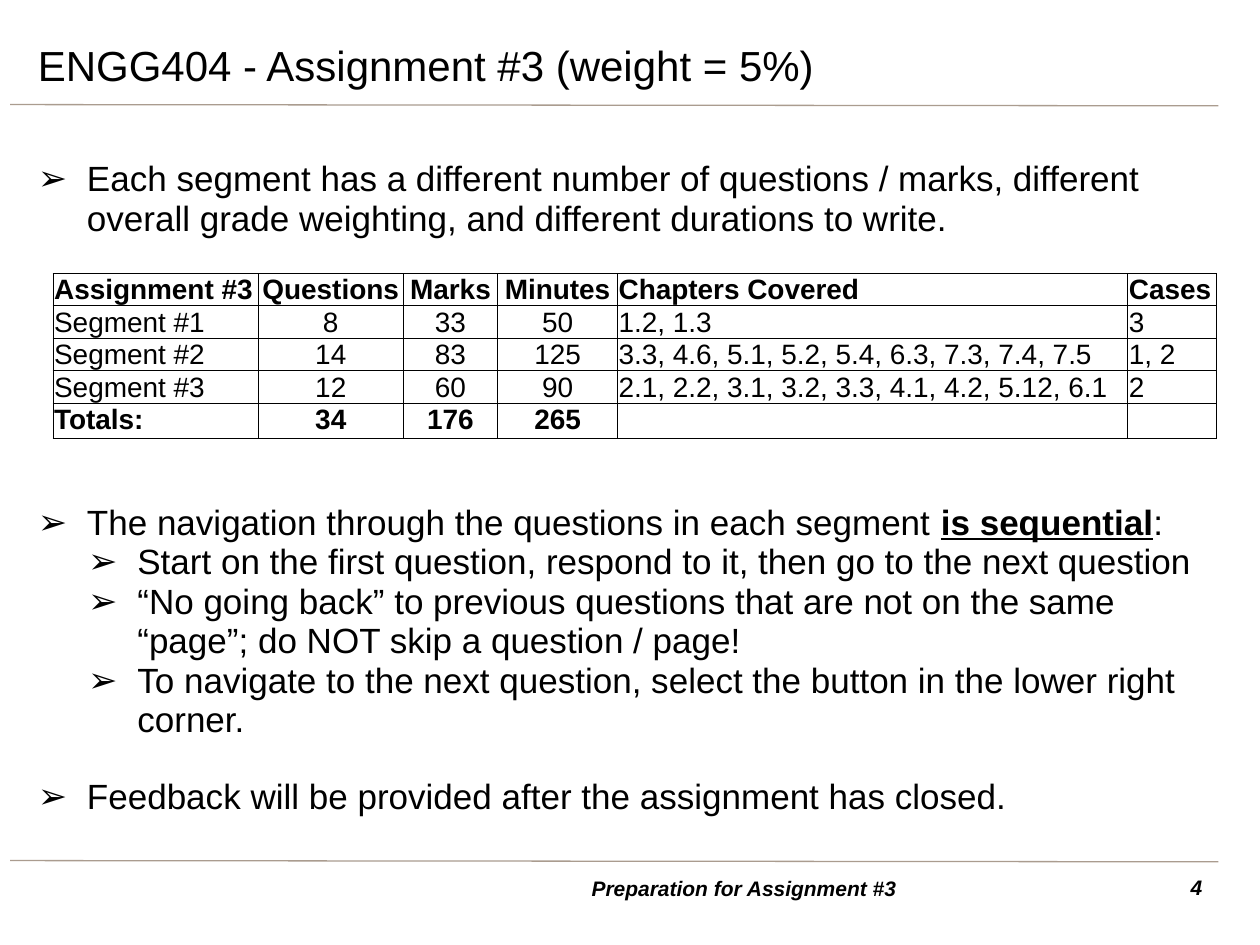
import pptx
import pptx.dml.color
import pptx.enum.shapes
import pptx.enum.text
import pptx.oxml.ns
import pptx.util
from dataclasses import dataclass
from lxml import etree

Inches, Pt = pptx.util.Inches, pptx.util.Pt
ALIGN, ANCHOR = pptx.enum.text.PP_ALIGN, pptx.enum.text.MSO_ANCHOR
qn = pptx.oxml.ns.qn

FONT = "Arial"
COLORS = {"text": "000000", "rule": "AA9C8F", "grid": "000000"}
LINE_PITCH = 21.6  # points between body lines


@dataclass
class Bullet:
    runs: list[tuple[str, bool]]  # text, emphasised
    level: int = 0
    lines_before: int = 0


@dataclass
class Column:
    width: float
    align: ALIGN


BULLETS = [
    Bullet([("Each segment has a different number of questions / marks, different "
             "overall grade weighting, and different durations to write.", False)]),
    Bullet([("The navigation through the questions in each segment ", False),
            ("is sequential", True), (":", False)], lines_before=7),
    Bullet([("Start on the first question, respond to it, then go to the next question",
             False)], level=1),
    Bullet([("“No going back” to previous questions that are not on the same “page”; "
             "do NOT skip a question / page!", False)], level=1),
    Bullet([("To navigate to the next question, select the button in the lower right "
             "corner.", False)], level=1),
    Bullet([("Feedback will be provided after the assignment has closed.", False)],
           lines_before=1),
]

COLUMNS = [
    Column(1.63, ALIGN.LEFT), Column(1.15, ALIGN.CENTER), Column(0.75, ALIGN.CENTER),
    Column(0.95, ALIGN.CENTER), Column(4.05, ALIGN.LEFT), Column(0.7, ALIGN.LEFT),
]
ROWS = [
    ("Assignment #3", "Questions", "Marks", "Minutes", "Chapters Covered", "Cases"),
    ("Segment #1", "8", "33", "50", "1.2, 1.3", "3"),
    ("Segment #2", "14", "83", "125", "3.3, 4.6, 5.1, 5.2, 5.4, 6.3, 7.3, 7.4, 7.5", "1, 2"),
    ("Segment #3", "12", "60", "90", "2.1, 2.2, 3.1, 3.2, 3.3, 4.1, 4.2, 5.12, 6.1", "2"),
    ("Totals:", "34", "176", "265", "", ""),
]
ROW_HEIGHT = 0.25


def rgb(name: str) -> pptx.dml.color.RGBColor:
    return pptx.dml.color.RGBColor.from_string(COLORS[name])


def add_text(p, text: str, *, size: float, bold=False, italic=False,
             underline=False, align=None) -> None:
    if align is not None:
        p.alignment = align
    r = p.add_run()
    r.text = text
    f = r.font
    f.name, f.size, f.bold, f.italic, f.underline = FONT, Pt(size), bold, italic, underline
    f.color.rgb = rgb("text")


def place(sp, left: float, top: float, width: float, height: float) -> None:
    sp.left, sp.top = Inches(left), Inches(top)
    sp.width, sp.height = Inches(width), Inches(height)


def add_rule(s, y: float) -> None:
    line = s.shapes.add_connector(pptx.enum.shapes.MSO_CONNECTOR.STRAIGHT,
                                  Inches(0.08), Inches(y), Inches(9.67), Inches(y + 0.01))
    line.line.color.rgb = rgb("rule")
    line.line.width = Pt(0.75)
    etree.SubElement(line._element.spPr, qn("a:effectLst"))


def add_label(s, text: str, box: tuple, align: ALIGN, anchor: ANCHOR) -> None:
    tf = s.shapes.add_textbox(*map(Inches, box)).text_frame
    tf.word_wrap = True
    tf.vertical_anchor = anchor
    add_text(tf.paragraphs[0], text, size=12, bold=True, italic=True, align=align)


def add_bullet(p, item: Bullet) -> None:
    p.level = item.level
    pPr = p._p.get_or_add_pPr()
    pPr.set("marL", str(Inches(0.39 + 0.4 * item.level)))
    pPr.set("indent", str(Inches(-0.39)))
    color = etree.SubElement(pPr, qn("a:buClr"))
    etree.SubElement(color, qn("a:srgbClr"), val=COLORS["text"])
    etree.SubElement(pPr, qn("a:buChar"), char="➢")
    p.line_spacing = 0.94
    p.space_before = Pt(item.lines_before * LINE_PITCH)
    p.space_after = Pt(0)
    for text, strong in item.runs:
        add_text(p, text, size=20, bold=strong, underline=strong, align=ALIGN.LEFT)


def add_borders(cell) -> None:
    tcPr = cell._tc.get_or_add_tcPr()
    for i, side in enumerate(("lnL", "lnR", "lnT", "lnB")):
        ln = etree.Element(qn(f"a:{side}"), w=str(Pt(0.5)))
        fill = etree.SubElement(ln, qn("a:solidFill"))
        etree.SubElement(fill, qn("a:srgbClr"), val=COLORS["grid"])
        tcPr.insert(i, ln)


def fill_cell(cell, text: str, align: ALIGN, bold: bool) -> None:
    cell.margin_left = cell.margin_right = cell.margin_top = Inches(0.01)
    cell.margin_bottom = 0
    cell.fill.background()
    add_borders(cell)
    p = cell.text_frame.paragraphs[0]
    if text:
        add_text(p, text, size=16, bold=bold, align=align)
    else:  # keeps an empty cell as low as its row
        etree.SubElement(p._p, qn("a:endParaRPr"), sz="1600")


def add_segment_table(s) -> None:
    frame = s.shapes.add_table(len(ROWS), len(COLUMNS), Inches(0.42), Inches(2.17),
                               Inches(sum(c.width for c in COLUMNS)),
                               Inches(ROW_HEIGHT * len(ROWS)))
    table = frame.table
    table.first_row = table.horz_banding = False
    for i, column in enumerate(COLUMNS):
        table.columns[i].width = Inches(column.width)
    for i, row in enumerate(ROWS):
        for j, text in enumerate(row):
            fill_cell(table.cell(i, j), text, COLUMNS[j].align,
                      bold=i in (0, len(ROWS) - 1))


def main() -> None:
    prs = pptx.Presentation()
    prs.slide_width, prs.slide_height = Inches(10), Inches(7.5)
    s = prs.slides.add_slide(prs.slide_layouts[1])

    # Rules above and below the content
    for y in (0.83, 6.83):
        add_rule(s, y)

    # Title
    title = s.shapes.title
    place(title, 0.2, 0.24, 9.45, 0.55)
    tf = title.text_frame
    tf.auto_size = pptx.enum.text.MSO_AUTO_SIZE.NONE
    tf.vertical_anchor = ANCHOR.MIDDLE
    add_text(tf.paragraphs[0], "ENGG404 - Assignment #3 (weight = 5%)", size=24,
             align=ALIGN.LEFT)

    # Bulleted list, leaving room for the table
    body = s.placeholders[1]
    place(body, 0.2, 0.91, 9.45, 5.83)
    tf = body.text_frame
    tf.auto_size = pptx.enum.text.MSO_AUTO_SIZE.NONE
    tf.vertical_anchor = ANCHOR.TOP
    tf.margin_top = Inches(0.36)
    for i, item in enumerate(BULLETS):
        add_bullet(tf.add_paragraph() if i else tf.paragraphs[0], item)

    add_segment_table(s)

    # Footer
    add_label(s, "Preparation for Assignment #3", (2.95, 6.89, 5.91, 0.31),
              ALIGN.CENTER, ANCHOR.MIDDLE)
    add_label(s, "4", (9.06, 6.89, 0.58, 0.31), ALIGN.RIGHT, ANCHOR.TOP)

    prs.save("out.pptx")


if __name__ == "__main__":
    main()
